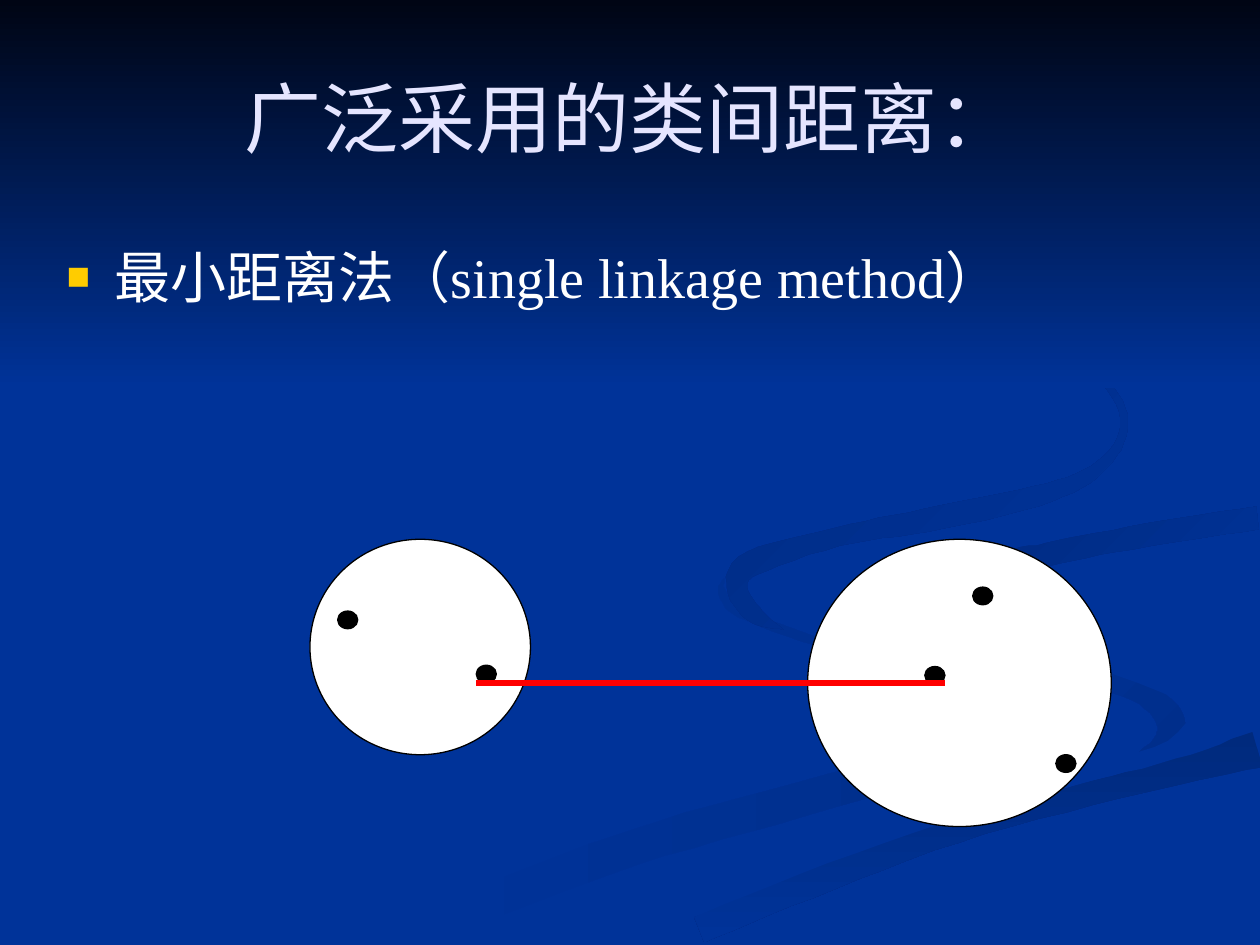
from dataclasses import dataclass
from math import hypot

from lxml.etree import SubElement as Sub
from pptx import Presentation
from pptx.dml.color import RGBColor as Rgb
from pptx.enum.shapes import MSO_CONNECTOR as Conn, MSO_SHAPE as Kind
from pptx.enum.text import MSO_ANCHOR as Anchor, PP_ALIGN as Align
from pptx.oxml.ns import qn
from pptx.util import Emu, Pt

PX = 9144  # 100 px to the inch
WIDE, HIGH = 1000, 750
SKY_END = 308
STEPS = 6  # curve points between two knots


@dataclass(frozen=True)
class Theme:
    font: str = "Times New Roman"
    back: str = "003399"
    night: str = "000514"
    shade: str = "002B82"
    soft: str = "002E8B"
    deep: str = "002A7D"
    head: str = "E5E5FF"
    body: str = "FFFFFF"
    mark: str = "FFCC00"
    disc: str = "FFFFFF"
    dot: str = "000000"
    link: str = "FF0000"
    head_size: int = 44
    body_size: int = 32
    thin: float = 0.75
    thick: int = 3


LOOK = Theme()


@dataclass(frozen=True)
class Swirl:
    """A ribbon: knots of (x, y, width) along its middle, and its fade."""
    knots: tuple
    first: str
    last: str
    angle: int = 0


# Swirls from back to front
TAIL = Swirl(((575, 459, 0), (573, 470, 6), (588, 486, 8), (648, 509, 7),
              (715, 530, 6), (776, 553, 8), (793, 576, 14), (773, 596, 20),
              (637, 634, 28), (499, 674, 28), (338, 735, 28)),
             LOOK.back, LOOK.soft)
CURL = Swirl(((724, 464, 0), (735, 488, 8), (769, 508, 14), (842, 529, 20),
              (903, 548, 18), (928, 570, 22), (925, 590, 20), (894, 605, 0)),
             LOOK.back, LOOK.soft, 45)
SWEEP = Swirl(((555, 738, 22), (640, 701, 25), (758, 659, 20),
               (885, 625, 19), (998, 595, 28)),
              LOOK.deep, LOOK.back, 90)
BAND = Swirl(((999, 395, 15), (850, 419, 16), (775, 440, 30), (753, 464, 56),
              (776, 489, 39), (840, 511, 20), (935, 540, 28), (968, 562, 50),
              (930, 595, 16), (838, 620, 14), (700, 662, 14), (571, 711, 16),
              (497, 744, 10)),
             LOOK.back, LOOK.back)
HOOK = Swirl(((826, 496, 0), (797, 478, 12), (793, 464, 22), (804, 449, 24),
              (832, 440, 18), (898, 427, 18), (998, 411, 18)),
             LOOK.shade, LOOK.back, 45)
LOOP = Swirl(((762, 233, 0), (845, 277, 3), (885, 314, 6), (891, 345, 6),
              (869, 374, 10), (822, 394, 16), (735, 413, 18), (665, 426, 15),
              (597, 447, 20), (585, 466, 16), (598, 487, 14), (622, 500, 0)),
             LOOK.shade, LOOK.back, 45)
SWIRLS = (TAIL, CURL, SWEEP, BAND, HOOK, LOOP)

# Each cluster: its disc, then the top left of each point
NEAR = ((246, 428, 175, 171), [(268, 485), (378, 528)])
FAR = ((641, 428, 241, 228), [(838, 599), (734, 529), (772, 466)])
DOT_W, DOT_H = 16, 14


def px(*vals):
    return [Emu(v * PX) for v in vals]


def rgb(code):
    return Rgb.from_string(code)


def smooth(knots):
    """Run a Catmull-Rom curve through the knots."""
    ends = [knots[0], *knots, knots[-1]]
    curve = []
    for quad in zip(ends, ends[1:], ends[2:], ends[3:]):
        for step in range(STEPS):
            t = step / STEPS
            curve.append([b + t / 2 * (c - a + t * (2 * a - 5 * b + 4 * c - d
                                                   + t * (3 * (b - c) + d - a)))
                          for a, b, c, d in zip(*quad)])
    return curve + [knots[-1]]


def outline(knots):
    """Widen the curve to both sides, and go out one side and back the other."""
    curve = smooth(knots)
    left, right = [], []
    for prev, (x, y, width), after in zip([curve[0], *curve], curve,
                                          [*curve[1:], curve[-1]]):
        dx, dy = after[0] - prev[0], after[1] - prev[1]
        half = max(width, 0) / 2 / hypot(dx, dy)
        left.append((round(x - dy * half), round(y + dx * half)))
        right.append((round(x + dy * half), round(y - dx * half)))
    return left + right[::-1]


def write(frame, text, *, font, size, color, align=Align.LEFT,
          bullet=None, mark=None, indent=0):
    """Put one formatted paragraph in a text frame."""
    para = frame.paragraphs[0]
    para.alignment = align
    if bullet:
        props = para._p.get_or_add_pPr()
        props.set("marL", str(indent * PX))
        props.set("indent", str(-indent * PX))
        tint = Sub(props, qn("a:buClr"))
        Sub(tint, qn("a:srgbClr"), val=mark)
        Sub(props, qn("a:buSzPct"), val="70000")
        Sub(props, qn("a:buFont"), typeface=font)
        Sub(props, qn("a:buChar"), char=bullet)
    run = para.add_run()
    run.text = text
    run.font.name = font
    run.font.size = Pt(size)
    run.font.color.rgb = rgb(color)


class Board:
    def __init__(self, slide, theme):
        self.theme, self.shapes = theme, slide.shapes
        fill = slide.background.fill
        fill.solid()
        fill.fore_color.rgb = rgb(theme.back)

    def text(self, box, text, **style):
        frame = self.shapes.add_textbox(*px(*box)).text_frame
        frame.word_wrap = True
        frame.vertical_anchor = Anchor.MIDDLE
        write(frame, text, font=self.theme.font, **style)

    def area(self, points, first, last, angle):
        """Draw a closed outline that fades from first to last."""
        start, *rest = points
        pen = self.shapes.build_freeform(*start, scale=PX)
        pen.add_line_segments(rest, close=True)
        shape = pen.convert_to_shape()
        shape.shadow.inherit = False
        shape.line.fill.background()
        fill = shape.fill
        if first == last:
            fill.solid()
            fill.fore_color.rgb = rgb(first)
            return
        fill.gradient()
        fill.gradient_angle = -angle % 360
        for stop, pos, color in zip(fill.gradient_stops, (0, 1), (first, last)):
            stop.position = pos
            stop.color.rgb = rgb(color)

    def oval(self, box, color):
        shape = self.shapes.add_shape(Kind.OVAL, *px(*box))
        shape.shadow.inherit = False
        shape.fill.solid()
        shape.fill.fore_color.rgb = rgb(color)
        shape.line.color.rgb = rgb(self.theme.dot)
        shape.line.width = Pt(self.theme.thin)

    def link(self, start, end):
        line = self.shapes.add_connector(Conn.STRAIGHT, *px(*start, *end))
        line.line.color.rgb = rgb(self.theme.link)
        line.line.width = Pt(self.theme.thick)
        Sub(line._element.spPr, qn("a:effectLst"))


def main():
    deck = Presentation()
    deck.slide_width, deck.slide_height = px(WIDE, HIGH)
    board = Board(deck.slides.add_slide(deck.slide_layouts[6]), LOOK)

    # Backdrop: swirls, then the night sky
    for swirl in SWIRLS:
        board.area(outline(swirl.knots), swirl.first, swirl.last, swirl.angle)
    sky = [(0, 0), (0, SKY_END), (WIDE, SKY_END), (WIDE, 0)]
    board.area(sky, LOOK.night, LOOK.back, 90)

    # Title and bullet
    board.text((50, 30, 900, 125), "广泛采用的类间距离：", size=LOOK.head_size,
               color=LOOK.head, align=Align.CENTER)
    board.text((43, 184, 900, 70), "最小距离法（single linkage method）",
               size=LOOK.body_size, color=LOOK.body, bullet="■",
               mark=LOOK.mark, indent=38)

    # Two clusters with their points
    for disc, _ in (NEAR, FAR):
        board.oval(disc, LOOK.disc)
    for _, dots in (NEAR, FAR):
        for dot in dots:
            board.oval((*dot, DOT_W, DOT_H), LOOK.dot)

    # Shortest link, along the foot of the two closest points
    (left, top), (right, _) = NEAR[1][1], FAR[1][1]
    foot = top + DOT_H
    board.link((left, foot), (right + DOT_W, foot))

    deck.save("out.pptx")


if __name__ == "__main__":
    main()
